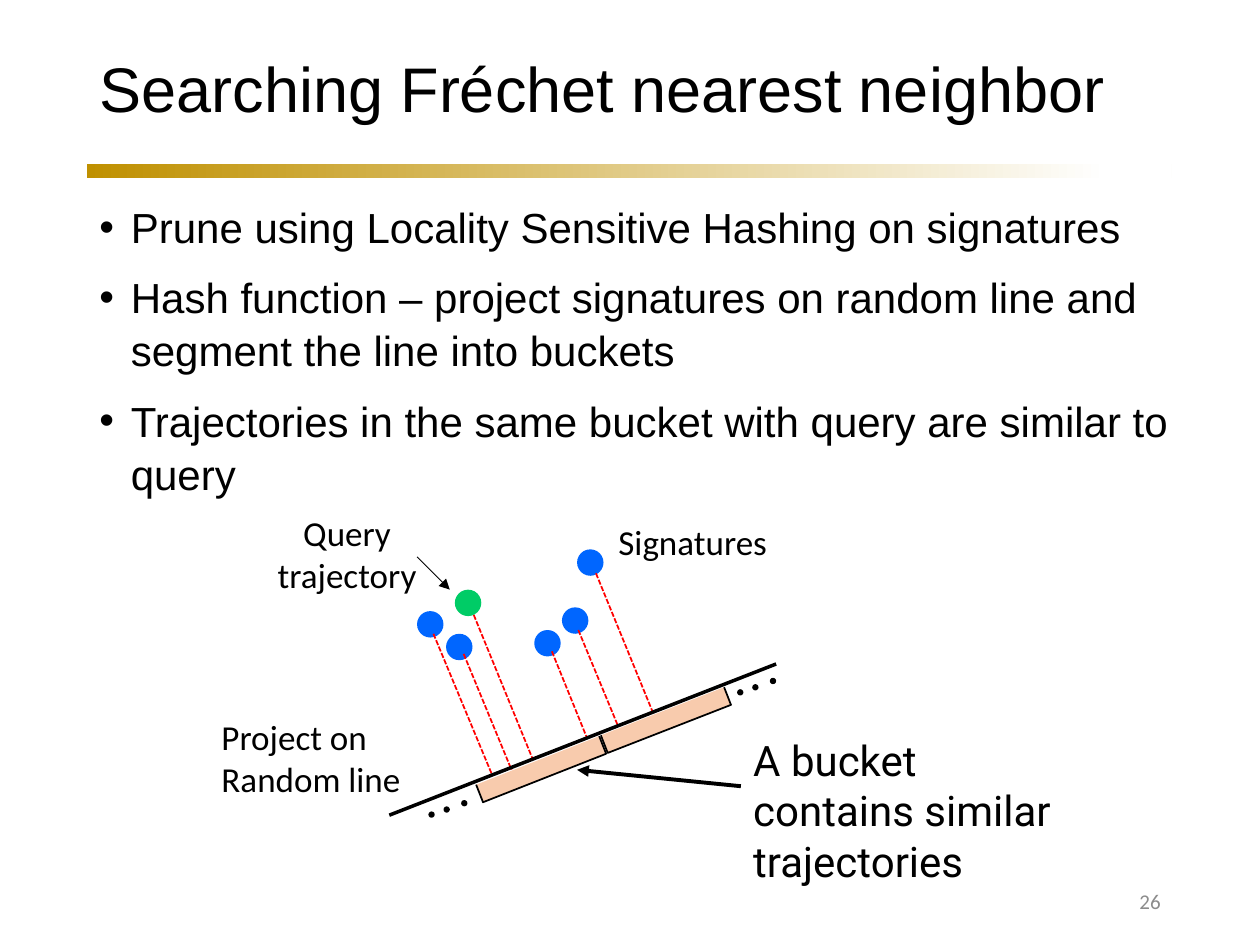
from lxml import etree
from pptx import Presentation
from pptx.dml.color import RGBColor
from pptx.enum.dml import MSO_LINE
from pptx.enum.shapes import MSO_CONNECTOR, MSO_SHAPE
from pptx.enum.text import MSO_ANCHOR, PP_ALIGN
from pptx.oxml.ns import qn
from pptx.util import Inches, Pt

LEFT, CENTER, RIGHT = PP_ALIGN.LEFT, PP_ALIGN.CENTER, PP_ALIGN.RIGHT
TOP, MIDDLE = MSO_ANCHOR.TOP, MSO_ANCHOR.MIDDLE
OVAL, RECT, BRACKET = MSO_SHAPE.OVAL, MSO_SHAPE.RECTANGLE, MSO_SHAPE.LEFT_BRACKET
DASH = MSO_LINE.SQUARE_DOT

BLACK, BLUE, GREEN, RED = "000000", "0066FF", "00CC66", "FF0000"
PEACH, GOLD, WHITE, GRAY = "F8CBAD", "BF9000", "FFFFFF", "8C8C8C"

BULLETS = [
    "Prune using Locality Sensitive Hashing on signatures",
    "Hash function – project signatures on random line and segment the line into buckets",
    "Trajectories in the same bucket with query are similar to query",
]
POINTS = [(3.31, 4.85), (4.58, 4.36), (4.46, 4.82), (3.54, 5.03), (4.24, 5)]
QUERY = (3.61, 4.68)
RAYS = [
    ((4.59, 5), (4.9, 5.75)), ((4.73, 4.55), (5.18, 5.65)),
    ((4.38, 5.17), (4.66, 5.86)), ((3.68, 5.19), (4.06, 6.11)),
    ((3.44, 5.03), (3.91, 6.16)), ((3.76, 4.88), (4.23, 6.03)),
]
BUCKETS = [(4.22, 5.58, 248.5), (5.21, 5.19, 248.7)]
TRAILS = [(5.85, 5.47), (3.4, 6.44)]
STEPS = [(0, 0), (0.12, -0.04), (0.26, -0.09)]


def color(code):
    return RGBColor.from_string(code)


def place(shape, box):
    shape.left, shape.top, shape.width, shape.height = map(Inches, box)


def add_bullet(para):
    props = para._p.get_or_add_pPr()
    props.set("marL", str(Inches(0.25)))
    props.set("indent", str(-Inches(0.25)))
    font = etree.SubElement(props, qn("a:buFont"))
    font.set("typeface", "Arial")
    etree.SubElement(props, qn("a:buChar")).set("char", "•")


def write(frame, lines, size=20, font="Calibri", tint=BLACK, align=LEFT,
          anchor=TOP, space=None, gap=0, bullet=False):
    frame.word_wrap = True
    frame.vertical_anchor = anchor
    for i, line in enumerate(lines):
        para = frame.paragraphs[0] if i == 0 else frame.add_paragraph()
        para.text = line
        if bullet:
            add_bullet(para)
        para.alignment = align
        para.line_spacing = space
        para.space_before = Pt(gap if i else 0)
        para.font.size = Pt(size)
        para.font.name = font
        para.font.color.rgb = color(tint)


def add_text(slide, box, *lines, **style):
    write(slide.shapes.add_textbox(*map(Inches, box)).text_frame, lines, **style)


def add_shape(slide, kind, box, fill, line=None):
    shape = slide.shapes.add_shape(kind, *map(Inches, box))
    shape.shadow.inherit = False
    shape.fill.solid()
    shape.fill.fore_color.rgb = color(fill)
    if line:
        shape.line.color.rgb = color(line)
        shape.line.width = Pt(1)
    else:
        shape.line.fill.background()
    return shape


def add_dot(slide, spot, size, fill):
    add_shape(slide, OVAL, (*spot, size, size), fill)


def add_line(slide, start, end, tint=BLACK, width=1, dash=None, arrow=False):
    line = slide.shapes.add_connector(
        MSO_CONNECTOR.STRAIGHT, *map(Inches, start + end))
    line.line.color.rgb = color(tint)
    line.line.width = Pt(width)
    if dash:
        line.line.dash_style = dash
    if arrow:
        tail = etree.SubElement(line.line._get_or_add_ln(), qn("a:tailEnd"))
        tail.set("type", "triangle")
    etree.SubElement(line._element.spPr, qn("a:effectLst"))


def add_rule(slide):
    """Gold bar that fades out to the right."""
    bar = add_shape(slide, RECT, (0.69, 1.3, 8.61, 0.11), GOLD)
    bar.fill.gradient()
    bar.fill.gradient_angle = 0
    stops = zip(bar.fill.gradient_stops, (GOLD, WHITE), (0, 0.94))
    for stop, tint, spot in stops:
        stop.color.rgb = color(tint)
        stop.position = spot


def add_bucket(slide, left, top, angle):
    shape = add_shape(slide, BRACKET, (left, top, 0.15, 1.05), PEACH, BLACK)
    shape.adjustments[0] = 0
    shape.rotation = angle


def draw_points(slide):
    for spot in POINTS:
        add_dot(slide, spot, 0.21, BLUE)
    add_dot(slide, QUERY, 0.21, GREEN)
    for start, end in RAYS:
        add_line(slide, start, end, RED, dash=DASH)


def draw_axis(slide):
    add_line(slide, (3.09, 6.47), (6.16, 5.27), width=2)
    for bucket in BUCKETS:
        add_bucket(slide, *bucket)
    for x, y in TRAILS:
        for dx, dy in STEPS:
            add_dot(slide, (x + dx, y + dy), 0.05, BLACK)


def draw_labels(slide):
    add_text(slide, (1.66, 5.63, 2.16, 0.77), "Project on Random line")
    add_text(slide, (4.81, 4.08, 1.4, 0.44), "Signatures")
    add_text(slide, (1.97, 4.01, 1.57, 0.77), "Query trajectory", align=CENTER)
    add_line(slide, (3.31, 4.42), (3.57, 4.68), width=0.5, arrow=True)
    add_text(slide, (5.88, 5.78, 2.73, 0.91),
             "A bucket contains similar trajectories", size=24, font="Roboto")
    add_line(slide, (5.88, 6.24), (4.58, 6.11), width=2.25, arrow=True)


def main():
    deck = Presentation()
    deck.slide_width, deck.slide_height = Inches(10), Inches(7.5)
    slide = deck.slides.add_slide(deck.slide_layouts[5])
    add_rule(slide)
    title = slide.shapes.title
    place(title, (0.69, 0.16, 8.62, 1.14))
    write(title.text_frame, ["Searching Fréchet nearest neighbor"],
          size=36, font="Arial", anchor=MIDDLE, space=0.9)
    add_text(slide, (7.06, 6.95, 2.25, 0.4), "26", size=12, tint=GRAY,
             align=RIGHT, anchor=MIDDLE)
    add_text(slide, (0.69, 1.53, 8.9, 2.39), *BULLETS, size=24, font="Arial",
             space=1.05, gap=10, bullet=True)
    draw_points(slide)
    draw_axis(slide)
    draw_labels(slide)
    deck.save("out.pptx")


if __name__ == "__main__":
    main()
